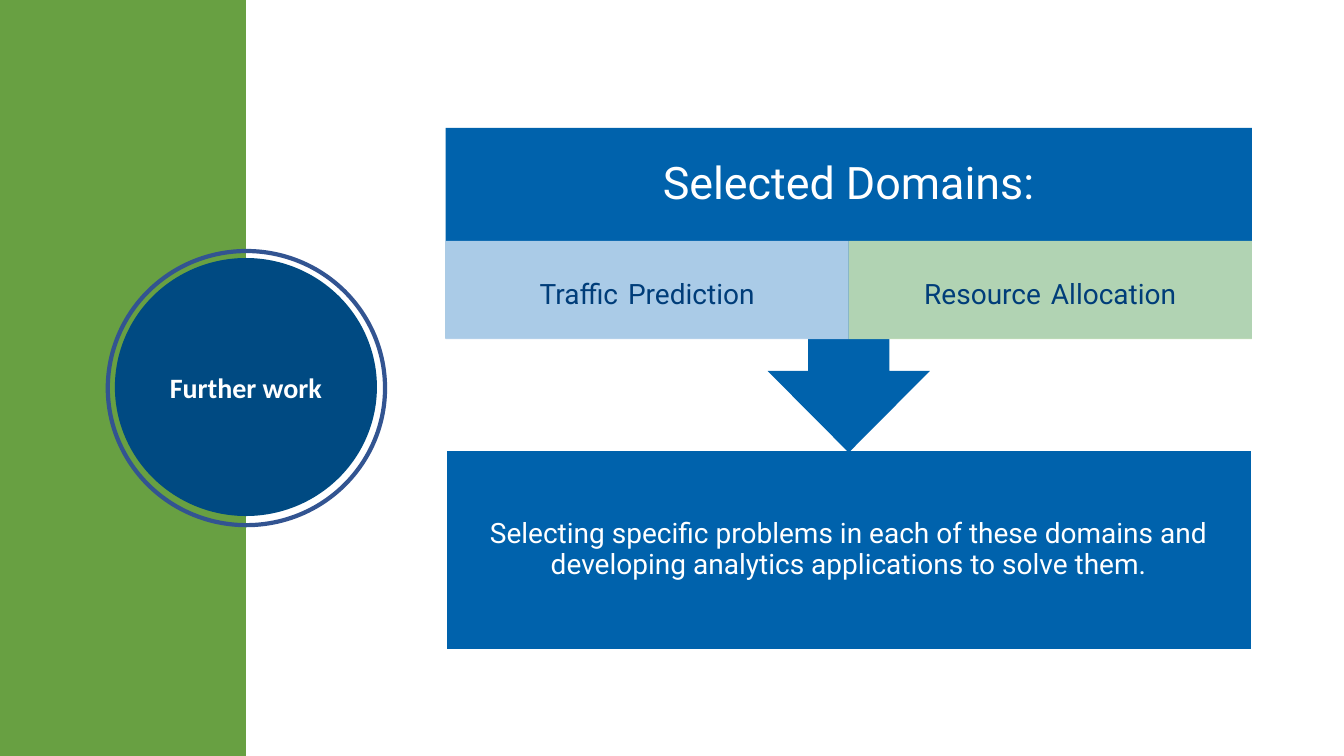
from dataclasses import dataclass

from lxml import etree
from pptx import Presentation
from pptx.dml.color import RGBColor
from pptx.enum.shapes import MSO_SHAPE
from pptx.enum.text import MSO_ANCHOR, PP_ALIGN
from pptx.oxml.ns import qn
from pptx.util import Inches, Pt

RECTANGLE = MSO_SHAPE.RECTANGLE
OVAL = MSO_SHAPE.OVAL
CONNECTOR_RING = MSO_SHAPE.FLOWCHART_CONNECTOR
MIDDLE = MSO_ANCHOR.MIDDLE
CENTER = PP_ALIGN.CENTER

SLIDE_WIDTH = Inches(13.33)
SLIDE_HEIGHT = Inches(7.5)
TITLE_ONLY = 5


@dataclass(frozen=True)
class Theme:
    green: str = "68A042"
    navy: str = "004A82"
    ring: str = "325491"
    blue: str = "0062AC"
    pale_blue: str = "BDD7EE"
    pale_green: str = "C5E0B4"
    ink: str = "003D79"
    white: str = "FFFFFF"
    black: str = "000000"
    heading_font: str = "Calibri"
    body_font: str = "Roboto"
    body_size: int = 20
    gap_size: int = 31
    heading_size: int = 32


THEME = Theme()

PANEL_LEFT = 33.15
PANEL_WIDTH = 60
PANEL_CENTER = PANEL_LEFT + PANEL_WIDTH / 2
PANEL_RIGHT = PANEL_LEFT + PANEL_WIDTH
PANEL_TOP = 16.93
DOMAIN_TOP = 31.87
DOMAIN_HEIGHT = 12.98
STEM_TOP = 44.8
HEAD_TOP = 49.07
HEAD_TIP = 59.87
GOAL_TOP = 59.47
STEM_HALF = 3.02
HEAD_HALF = 2 * STEM_HALF
DISC = (8.55, 34.13, 19.5, 34.13)


def across(percent):
    return round(SLIDE_WIDTH * percent / 100)


def down(percent):
    return round(SLIDE_HEIGHT * percent / 100)


def frame(left, top, width, height):
    return across(left), down(top), across(width), down(height)


def color(code):
    return RGBColor.from_string(code)


def paint(shape, fill=None, line=None, line_width=0, opacity=100):
    shape.shadow.inherit = False
    if fill:
        shape.fill.solid()
        shape.fill.fore_color.rgb = color(fill)
        if opacity < 100:
            solid = shape.fill._xPr.find(qn("a:solidFill"))
            etree.SubElement(solid[0], qn("a:alpha"), val=str(opacity * 1000))
    else:
        shape.fill.background()
    if line:
        shape.line.color.rgb = color(line)
        shape.line.width = Pt(line_width)
    else:
        shape.line.fill.background()


def add_block(page, kind, area, **look):
    shape = page.shapes.add_shape(kind, *frame(*area))
    paint(shape, **look)
    return shape


def style(span, font, size, code, bold=False):
    span.font.name = font
    span.font.size = Pt(size)
    span.font.color.rgb = color(code)
    span.font.bold = bold


def center_text(box, side, top, bottom):
    text_frame = box.text_frame
    text_frame.word_wrap = True
    text_frame.vertical_anchor = MIDDLE
    text_frame.margin_left = text_frame.margin_right = Inches(side)
    text_frame.margin_top = Inches(top)
    text_frame.margin_bottom = Inches(bottom)
    para = text_frame.paragraphs[0]
    para.alignment = CENTER
    para.line_spacing = 0.9
    return para


def write(box, text, size, side, top, bottom):
    para = center_text(box, side, top, bottom)
    para.text = text
    para.space_after = Pt(size * 0.35)
    style(para.runs[0], THEME.body_font, size, THEME.white)


def add_domain(page, column, words, fill):
    width = PANEL_WIDTH / 2
    area = (PANEL_LEFT + column * width, DOMAIN_TOP, width, DOMAIN_HEIGHT)
    box = add_block(page, RECTANGLE, area, fill=fill, opacity=90)
    para = center_text(box, 0.16, 0.03, 0.03)
    para.space_after = Pt(THEME.body_size * 0.35)
    first, last = words
    body = (THEME.body_font, THEME.body_size, THEME.ink)
    gap = (THEME.heading_font, THEME.gap_size, THEME.black)
    for text, look in ((first, body), (" ", gap), (last, body)):
        span = para.add_run()
        span.text = text
        style(span, *look)


def add_arrow_panel(page):
    corners = [
        (PANEL_RIGHT, STEM_TOP),
        (PANEL_CENTER + STEM_HALF, STEM_TOP),
        (PANEL_CENTER + STEM_HALF, HEAD_TOP),
        (PANEL_CENTER + HEAD_HALF, HEAD_TOP),
        (PANEL_CENTER, HEAD_TIP),
        (PANEL_CENTER - HEAD_HALF, HEAD_TOP),
        (PANEL_CENTER - STEM_HALF, HEAD_TOP),
        (PANEL_CENTER - STEM_HALF, STEM_TOP),
        (PANEL_LEFT, STEM_TOP),
        (PANEL_LEFT, PANEL_TOP),
        (PANEL_RIGHT, PANEL_TOP),
    ]
    points = [(across(x), down(y)) for x, y in corners]
    builder = page.shapes.build_freeform(*points[0])
    builder.add_line_segments(points[1:], close=True)
    panel = builder.convert_to_shape()
    paint(panel, fill=THEME.blue)
    write(panel, "Selected Domains:", THEME.heading_size, 0.25, 0.25, 2.34)


def add_title(page, text):
    title = page.shapes.title
    title.left, title.top, title.width, title.height = frame(*DISC)
    para = center_text(title, 0.1, 0.05, 0.05)
    para.text = text
    para.line_spacing = 1.0
    style(para.runs[0], THEME.heading_font, THEME.body_size, THEME.white, True)


def main():
    deck = Presentation()
    deck.slide_width = SLIDE_WIDTH
    deck.slide_height = SLIDE_HEIGHT
    page = deck.slides.add_slide(deck.slide_layouts[TITLE_ONLY])

    add_block(page, RECTANGLE, (0, 0, 18.3, 100), fill=THEME.green)
    add_block(page, OVAL, DISC, fill=THEME.navy)
    add_block(page, CONNECTOR_RING, (8.02, 33.2, 20.63, 36.27),
              line=THEME.ring, line_width=3)
    add_title(page, "Further work")
    page.shapes._spTree.append(page.shapes.title._element)

    goal = add_block(page, RECTANGLE, (PANEL_LEFT, GOAL_TOP, PANEL_WIDTH, 26.53),
                     fill=THEME.blue, line=THEME.white, line_width=1.5)
    write(goal, "Selecting specific problems in each of these domains and "
          "developing analytics applications to solve them.",
          THEME.body_size, 0.16, 0.16, 0.16)
    add_arrow_panel(page)
    add_domain(page, 0, ("Traffic", "Prediction"), THEME.pale_blue)
    add_domain(page, 1, ("Resource", "Allocation"), THEME.pale_green)

    deck.save("out.pptx")


if __name__ == "__main__":
    main()
